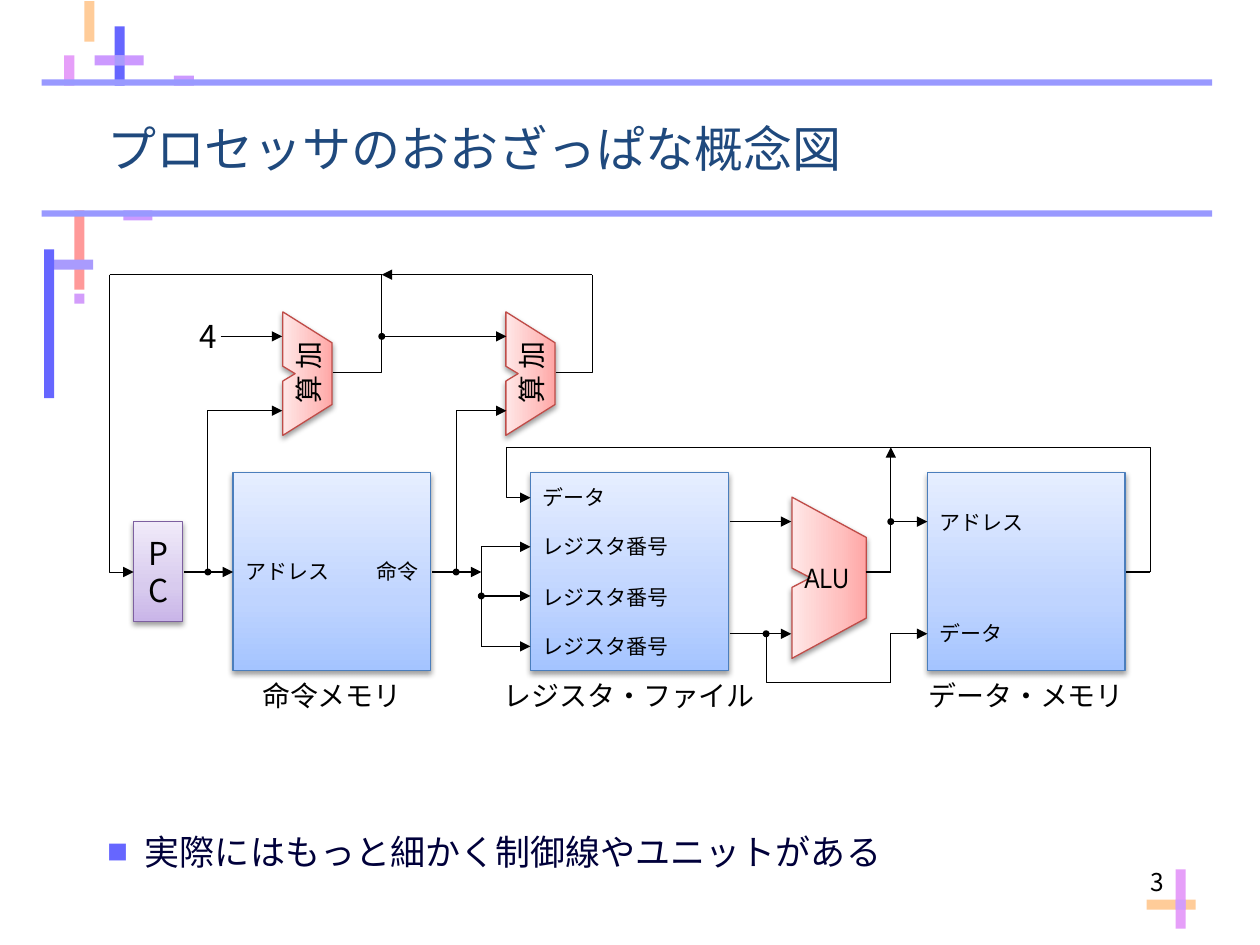
from pptx import Presentation
from pptx import util as u
from pptx.dml.color import RGBColor
from pptx.enum import shapes, text
from pptx.oxml import parse_xml
from pptx.oxml.ns import nsdecls, qn

COLORS = {
    "indigo": "6666FF", "violet": "CC99FF", "lavender": "A99BFD", "peach": "FFCC99",
    "pink": "E69FF9", "salmon": "FF9999", "orchid": "D39DFB", "rule": "9999FF",
    "title": "1F497D", "body": "00003A", "black": "000000",
}
# Gradient from bottom to top, then outline
BLUE = ("A4C4FF", "BFD4FF", "E6EEFF", "4B7EBC")
RED = ("FFA6A5", "FFC0BF", "FFE7E7", "BF4C48")
PURPLE = ("C9B5E8", "D8CBEE", "F0EAF9", "7D60A0")
SANS = "Noto Sans CJK JP"
LEFT, CENTER, RIGHT = text.PP_ALIGN.LEFT, text.PP_ALIGN.CENTER, text.PP_ALIGN.RIGHT


def write(frame, words, size, align=LEFT, color="black", font=SANS,
          anchor=text.MSO_ANCHOR.MIDDLE):
    frame.vertical_anchor = anchor
    paragraph = frame.paragraphs[0]
    paragraph.alignment = align
    run = paragraph.add_run()
    run.text = words
    run.font.size = u.Pt(size)
    run.font.name = font
    run.font.color.rgb = RGBColor.from_string(COLORS[color])
    run.font._element.find(qn("a:latin")).addnext(
        parse_xml(f'<a:ea {nsdecls("a")} typeface="{font}"/>'))
    return paragraph


def style_unit(unit, palette):
    unit.fill.gradient()
    stops = "".join(f'<a:gs pos="{pos}"><a:srgbClr val="{color}"/></a:gs>'
                    for pos, color in zip((0, 35000, 100000), palette))
    props = unit._element.spPr
    props.replace(props.find(qn("a:gradFill")), parse_xml(
        f'<a:gradFill {nsdecls("a")} rotWithShape="1"><a:gsLst>{stops}</a:gsLst>'
        '<a:lin ang="16200000" scaled="0"/></a:gradFill>'))
    unit.line.color.rgb = RGBColor.from_string(palette[3])
    unit.line.width = u.Pt(0.75)
    props.append(parse_xml(
        f'<a:effectLst {nsdecls("a")}><a:outerShdw blurRad="40000" dist="20000" dir="5400000" '
        'rotWithShape="0"><a:srgbClr val="000000"><a:alpha val="38000"/></a:srgbClr>'
        '</a:outerShdw></a:effectLst>'))


prs = Presentation()
prs.slide_width, prs.slide_height = u.Inches(10), u.Inches(7.5)
slide = prs.slides.add_slide(prs.slide_layouts[1])
canvas = slide.shapes

# Decorative bars and rules
for left, top, width, height, color in (
    (0.91, 0.21, 0.08, 0.47, "indigo"), (1.38, 0.6, 0.16, 0.08, "violet"),
    (0.75, 0.44, 0.39, 0.08, "violet"), (0.91, 0.44, 0.08, 0.08, "lavender"),
    (0.67, 0.01, 0.08, 0.32, "peach"), (0.51, 0.44, 0.08, 0.24, "pink"),
    (0.98, 1.67, 0.23, 0.08, "violet"), (0.59, 1.67, 0.08, 0.63, "salmon"),
    (0.43, 2.06, 0.31, 0.08, "lavender"), (0.59, 2.33, 0.08, 0.08, "orchid"),
    (0.35, 1.98, 0.08, 1.18, "indigo"), (9.1, 7.14, 0.39, 0.08, "peach"),
    (9.33, 6.9, 0.08, 0.47, "pink"), (9.33, 7.14, 0.08, 0.08, "orchid"),
    (0.33, 1.67, 9.29, 0.05, "rule"), (0.33, 0.63, 9.29, 0.05, "rule"),
):
    bar = canvas.add_shape(shapes.MSO_SHAPE.RECTANGLE,
                           *map(u.Inches, (left, top, width, height)))
    bar.fill.solid()
    bar.fill.fore_color.rgb = RGBColor.from_string(COLORS[color])
    bar.line.fill.background()
    bar.shadow.inherit = False

# Title and bulleted remark
heading, remark = canvas.title, slide.placeholders[1]
for holder, place in ((heading, (0.75, 0.67, 8.5, 1)), (remark, (0.75, 6.31, 8.58, 0.89))):
    holder.left, holder.top, holder.width, holder.height = map(u.Inches, place)
write(heading.text_frame, "プロセッサのおおざっぱな概念図", 28, color="title")
bullet = write(remark.text_frame, "実際にはもっと細かく制御線やユニットがある", 20, color="body")
bullet.space_before = u.Pt(4)
bullet_props = bullet._p.get_or_add_pPr()
bullet_props.set("marL", str(u.Inches(0.3)))
bullet_props.set("indent", str(u.Inches(-0.3)))
for tag in (f'buClr {nsdecls("a")}><a:srgbClr val="{COLORS["indigo"]}"/></a:buClr',
            f'buSzPct {nsdecls("a")} val="60000"/', f'buFont {nsdecls("a")} typeface="{SANS}"/',
            f'buChar {nsdecls("a")} char="■"/'):
    bullet_props.append(parse_xml(f"<a:{tag}>"))

# Slide number
page = canvas.add_textbox(*map(u.Inches, (7.92, 6.83, 1.42, 0.44))).text_frame
page.word_wrap = True
write(page, "3", 14, RIGHT, anchor=text.MSO_ANCHOR.TOP)

# Memories, register file and program counter
for left, top, width, height, palette, words in (
    (1.85, 3.75, 1.57, 1.57, BLUE, ""), (4.21, 3.75, 1.57, 1.57, BLUE, ""),
    (7.36, 3.75, 1.57, 1.57, BLUE, ""), (1.06, 4.14, 0.39, 0.79, PURPLE, "PC"),
):
    block = canvas.add_shape(shapes.MSO_SHAPE.RECTANGLE,
                             *map(u.Inches, (left, top, width, height)))
    style_unit(block, palette)
    if words:
        write(block.text_frame, words, 18, CENTER)

# Adders and ALU: notched trapezoids drawn lying down, then turned upright
OUTLINE = ((0, 0), (0.25, 1), (0.75, 1), (1, 0), (0.56, 0), (0.5, 0.25), (0.44, 0))
for left, top, width, height, words, font in (
    (1.95, 2.77, 0.98, 0.39, "加算", SANS), (3.72, 2.77, 0.98, 0.39, "加算", SANS),
    (5.94, 4.29, 1.28, 0.59, "ALU", "Arial Narrow"),
):
    corners = [(u.Inches(left + x * width), u.Inches(top + y * height)) for x, y in OUTLINE]
    builder = canvas.build_freeform(*corners[0])
    builder.add_line_segments(corners[1:], close=True)
    operator = builder.convert_to_shape()
    operator.rotation = 270
    style_unit(operator, RED)
    write(operator.text_frame, words, 16, CENTER, font=font)
    operator.text_frame._txBody.bodyPr.set("vert", "eaVert")

# Wires: points, start end, finish end
for points, head, tail in (
    (((1.46, 4.54), (1.85, 4.54)), None, "triangle"),
    (((1.65, 4.54), (1.65, 3.26), (2.24, 3.26)), "oval", "triangle"),
    (((1.75, 2.67), (2.24, 2.67)), None, "triangle"),
    (((0.87, 2.18), (0.87, 4.54), (1.06, 4.54)), None, "triangle"),
    (((2.64, 2.96), (3.03, 2.96), (3.03, 2.18)), None, None),
    (((0.87, 2.18), (3.03, 2.18)), None, None),
    (((3.03, 2.67), (4.02, 2.67)), "oval", "triangle"),
    (((3.43, 4.54), (3.82, 4.54)), None, "triangle"),
    (((3.62, 4.54), (3.62, 3.26), (4.02, 3.26)), "oval", "triangle"),
    (((4.41, 2.96), (4.7, 2.96), (4.7, 2.18)), None, None),
    (((4.7, 2.18), (3.03, 2.18)), None, "triangle"),
    (((3.82, 5.13), (3.82, 4.34), (4.21, 4.34)), None, "triangle"),
    (((3.82, 4.73), (4.21, 4.73)), "oval", "triangle"),
    (((3.82, 5.13), (4.21, 5.13)), None, "triangle"),
    (((4.02, 3.55), (4.02, 3.95), (4.21, 3.95)), None, "triangle"),
    (((9.13, 4.54), (9.13, 3.55), (4.02, 3.55)), None, None),
    (((8.94, 4.54), (9.13, 4.54)), None, None),
    (((7.07, 4.14), (7.07, 3.55)), "oval", "triangle"),
    (((6.87, 4.54), (7.07, 4.54)), None, None),
    (((5.79, 4.14), (6.28, 4.14)), None, "triangle"),
    (((5.79, 5.03), (6.28, 5.03)), None, "triangle"),
    (((6.08, 5.03), (6.08, 5.42), (7.07, 5.42)), "oval", None),
    (((7.07, 5.42), (7.07, 5.03), (7.36, 5.03)), None, "triangle"),
    (((7.07, 4.54), (7.07, 4.14), (7.36, 4.14)), None, "triangle"),
):
    stops = [(u.Inches(x), u.Inches(y)) for x, y in points]
    straight = len(stops) == 2
    if straight:
        wire = canvas.add_connector(shapes.MSO_CONNECTOR.STRAIGHT, *stops[0], *stops[1])
    else:
        builder = canvas.build_freeform(*stops[0])
        builder.add_line_segments(stops[1:], close=False)
        wire = builder.convert_to_shape()
        wire.fill.background()
    wire.line.color.rgb = RGBColor.from_string(COLORS["black"])
    wire.line.width = u.Pt(0.75 if straight else 0.5)
    props = wire._element.spPr
    for tag, kind, size in (("headEnd", head, "sm"), ("tailEnd", tail, "med")):
        if kind:
            props.find(qn("a:ln")).append(parse_xml(
                f'<a:{tag} {nsdecls("a")} type="{kind}" w="{size}" len="{size}"/>'))
    props.append(parse_xml(f'<a:effectLst {nsdecls("a")}/>'))

# Constant, port names and unit names
for left, top, width, words, size, align, inset in (
    (1.46, 2.47, 0.39, "4", 18, CENTER, 0.1),
    (1.85, 4.34, 1, "アドレス", 12, LEFT, 0.1), (2.82, 4.34, 0.6, "命令", 12, RIGHT, 0.1),
    (4.21, 3.75, 1.3, "データ", 12, LEFT, 0.1),
    *((4.21, top, 1.3, "レジスタ番号", 12, LEFT, 0.1) for top in (4.14, 4.54, 4.93)),
    (7.36, 3.95, 1, "アドレス", 12, LEFT, 0.1), (7.36, 4.83, 1, "データ", 12, LEFT, 0.1),
    (1.85, 5.32, 1.57, "命令メモリ", 16, CENTER, 0),
    (3.91, 5.32, 2.17, "レジスタ・ファイル", 16, CENTER, 0),
    (7.36, 5.32, 1.57, "データ・メモリ", 16, CENTER, 0),
):
    label = canvas.add_textbox(*map(u.Inches, (left, top, width, 0.39))).text_frame
    label.word_wrap = True
    label.margin_left = label.margin_right = u.Inches(inset)
    label.margin_top = label.margin_bottom = 0
    write(label, words, size, align)

prs.save("out.pptx")
